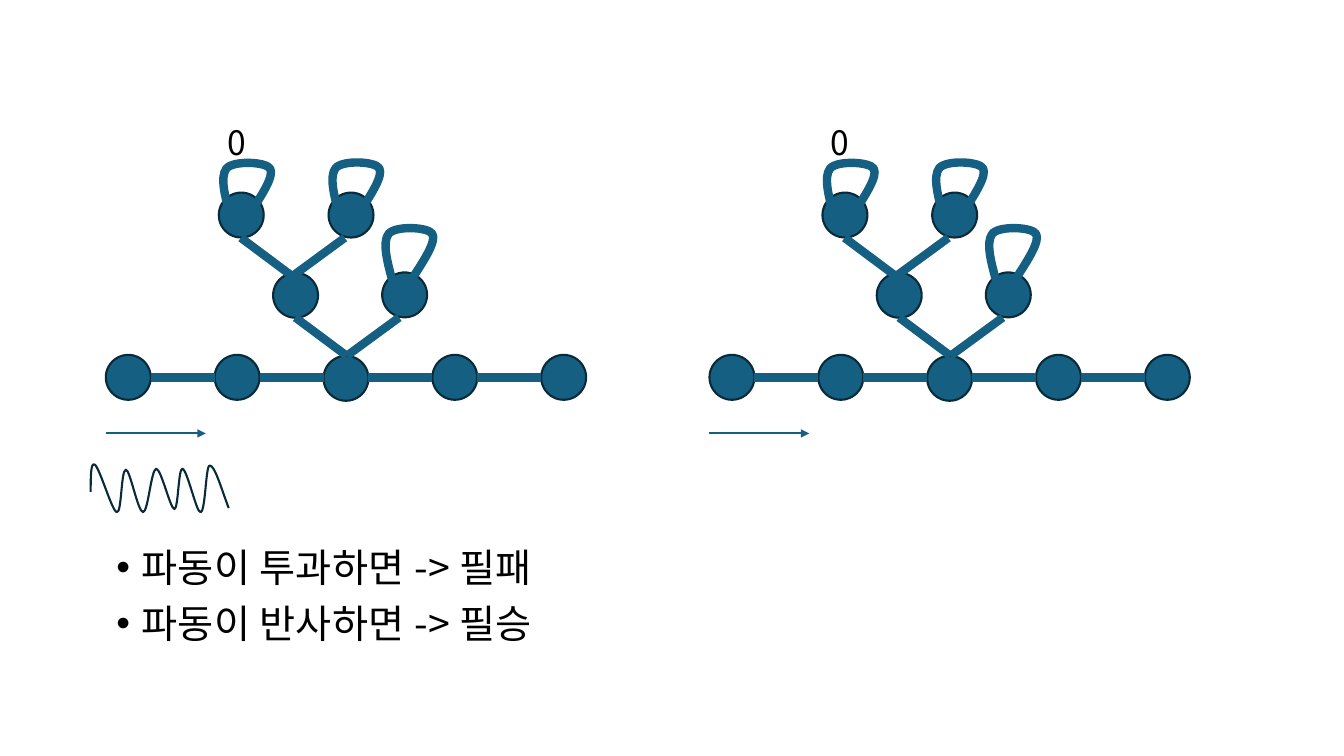
"""Build a slide with two looped tree graphs, a wave and two notes."""
from pptx import Presentation
from pptx.dml.color import RGBColor
from pptx.enum.shapes import MSO_CONNECTOR, MSO_SHAPE
from pptx.enum.text import MSO_AUTO_SIZE
from pptx.oxml.ns import qn
from pptx.util import Pt
from lxml import etree

OVAL = MSO_SHAPE.OVAL
LINE = MSO_CONNECTOR.STRAIGHT
GROW = MSO_AUTO_SIZE.SHAPE_TO_FIT_TEXT

NOTES = ["파동이 투과하면 -> 필패", "파동이 반사하면 -> 필승"]
LABEL = "0"
THEME = {
    "font": "Noto Sans CJK KR",
    "fill": RGBColor(0x15, 0x60, 0x82),
    "edge": RGBColor(0x09, 0x2A, 0x39),
    "text": RGBColor(0, 0, 0),
    "body": 28, "label": 24, "thin": 1.5, "thick": 6,
}
TRACK = {"body": "25", "label": "0"}

LEFTS = [75.6, 506.8]
SIZE, STEP, COUNT, BASE = 32.1, 77.75, 5, 253.5
BRANCH = [(119.5, 194.9), (197.4, 194.6), (80.7, 137.6), (159.1, 137.6)]
FORKS = [(172.1, 254.2), (133.2, 197.3)]
ARMS = [(-36.7, -27.4), (37.4, -27.4)]
LOOPS = [(89.3, 155.5), (167.3, 155.2), (205.2, 202.1)]
LOOP = [(0, 0), (-4.1, -14.5), (-7.9, -28.9), (-3.2, -35), (1.4, -41),
        (25.2, -40), (28.1, -35), (31, -29.9), (22.7, -16.9), (14, -3.6)]
WAVE = [(64.8, 351.4), (64.8, 340.6), (64.8, 329.8), (67.7, 331.9),
        (71.3, 334.1), (79.9, 365), (83.5, 365.8),
        (87.1, 366.5), (86.4, 335.5), (90, 335.5),
        (92.9, 335.5), (98.6, 365.8), (102.2, 365.8),
        (105.8, 365.8), (108, 335.5), (111.6, 334.8),
        (115.2, 334.8), (121.7, 363.6), (124.6, 363.6),
        (127.4, 363.6), (127.4, 334.8), (130.3, 334.8),
        (133.9, 335.5), (140.4, 366.5), (143.3, 365.8),
        (146.9, 365.8), (146.9, 332.6), (149.8, 332.6),
        (153.4, 331.9), (158.4, 349.9), (163.4, 362.9)]


def stroke(item, color, width):
    item.line.color.rgb = THEME[color]
    item.line.width = Pt(THEME[width])


def curve(shapes, knots, color, width):
    dots = [(Pt(x), Pt(y)) for x, y in knots]
    pen = shapes.build_freeform(*dots[0])
    pen.add_line_segments(dots[1:], close=False)
    item = pen.convert_to_shape()
    legs = list(item._element.iter(qn("a:lnTo")))
    for i in range(0, len(legs), 3):
        bend = etree.Element(qn("a:cubicBezTo"))
        legs[i].addprevious(bend)
        for leg in legs[i:i + 3]:
            bend.append(leg[0])
            leg.getparent().remove(leg)
    item.fill.background()
    item.shadow.inherit = False
    stroke(item, color, width)


def node(shapes, x, y):
    item = shapes.add_shape(OVAL, Pt(x), Pt(y), Pt(SIZE), Pt(SIZE))
    item.shadow.inherit = False
    item.fill.solid()
    item.fill.fore_color.rgb = THEME["fill"]
    stroke(item, "edge", "thin")


def link(shapes, x, y, dx, dy, width="thick"):
    item = shapes.add_connector(LINE, Pt(x), Pt(y), Pt(x + dx), Pt(y + dy))
    stroke(item, "fill", width)
    etree.SubElement(item._element.spPr, qn("a:effectLst"))
    return item


def write(para, text, size):
    run = para.add_run()
    run.text = text
    run.font.size = Pt(THEME[size])
    run.font.name = THEME["font"]
    run.font.color.rgb = THEME["text"]
    props = run.font._element
    props.set("spc", TRACK[size])
    east = etree.SubElement(props, qn("a:ea"))
    east.set("typeface", THEME["font"])


def graph(slide, left):
    shapes = slide.shapes.add_group_shape().shapes
    for i in range(COUNT):
        node(shapes, left + i * STEP, BASE + (0.7 if i == COUNT // 2 else 0))
    for x, y in BRANCH:
        node(shapes, left + x, y)
    for x, y in FORKS:
        for dx, dy in ARMS:
            link(shapes, left + x, y, dx, dy)
    for i in range(COUNT - 1):
        link(shapes, left + i * STEP + SIZE, BASE + SIZE / 2, STEP - SIZE, 0)
    for x, y in LOOPS:
        curve(shapes, [(left + x + dx, y + dy) for dx, dy in LOOP],
              "fill", "thick")
    arrow = link(shapes, left, 309.6, 71.3, 0, "thin")
    tail = etree.SubElement(arrow.line._get_or_add_ln(), qn("a:tailEnd"))
    tail.set("type", "triangle")
    box = shapes.add_textbox(Pt(left + 86.8), Pt(87.1), Pt(17.3), Pt(28.8))
    frame = box.text_frame
    frame.margin_left = frame.margin_right = 0
    frame.margin_top = frame.margin_bottom = 0
    frame.word_wrap = True
    frame.auto_size = GROW
    write(frame.paragraphs[0], LABEL, "label")


def notes(slide):
    box = slide.shapes.add_textbox(Pt(76), Pt(388.1), Pt(828), Pt(132.5))
    frame = box.text_frame
    frame.word_wrap = True
    for i, text in enumerate(NOTES):
        para = frame.add_paragraph() if i else frame.paragraphs[0]
        para.line_spacing = 0.9
        if i:
            para.space_before = Pt(10)
        props = para._p.get_or_add_pPr()
        props.set("marL", str(Pt(18)))
        props.set("indent", str(-Pt(18)))
        face = etree.SubElement(props, qn("a:buFont"))
        face.set("typeface", "Arial")
        mark = etree.SubElement(props, qn("a:buChar"))
        mark.set("char", "•")
        write(para, text, "body")


def main():
    deck = Presentation()
    deck.slide_width, deck.slide_height = Pt(960), Pt(540)
    slide = deck.slides.add_slide(deck.slide_layouts[6])
    notes(slide)
    curve(slide.shapes, WAVE, "edge", "thin")
    for left in LEFTS:
        graph(slide, left)
    deck.save("out.pptx")


if __name__ == "__main__":
    main()
